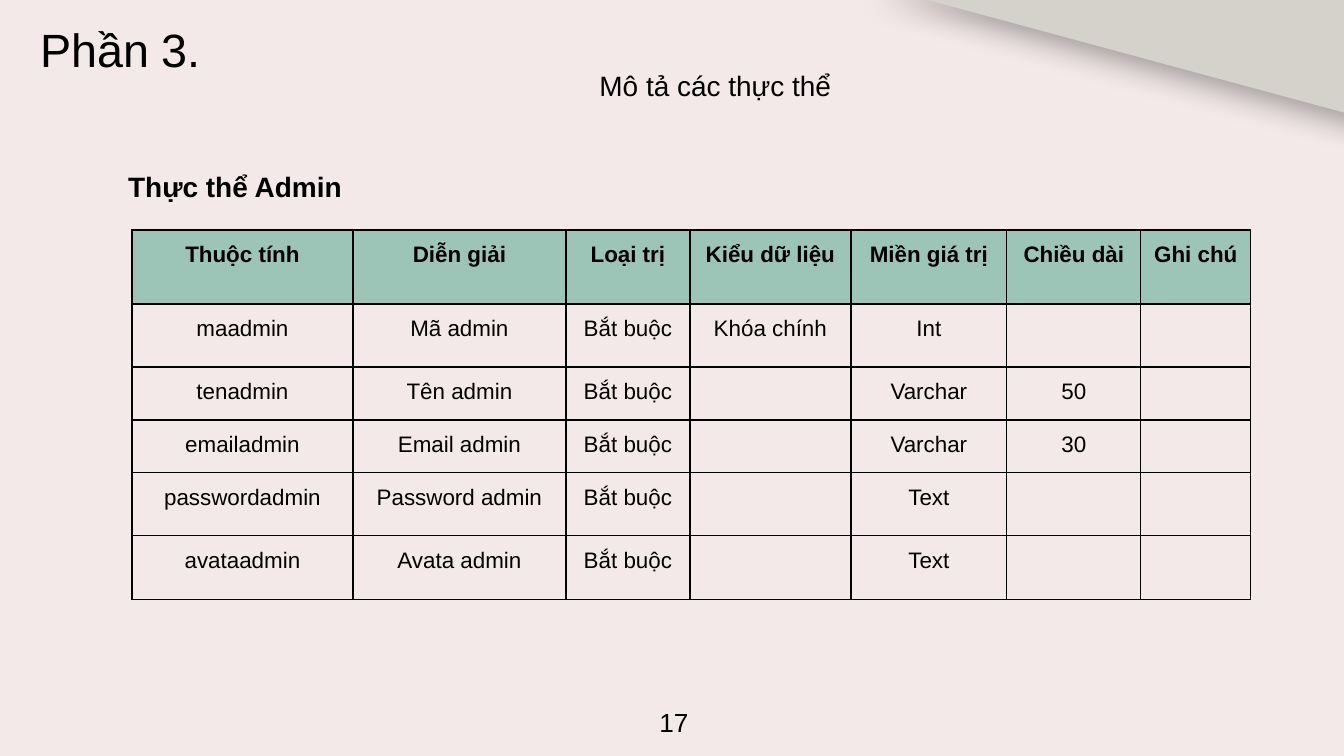
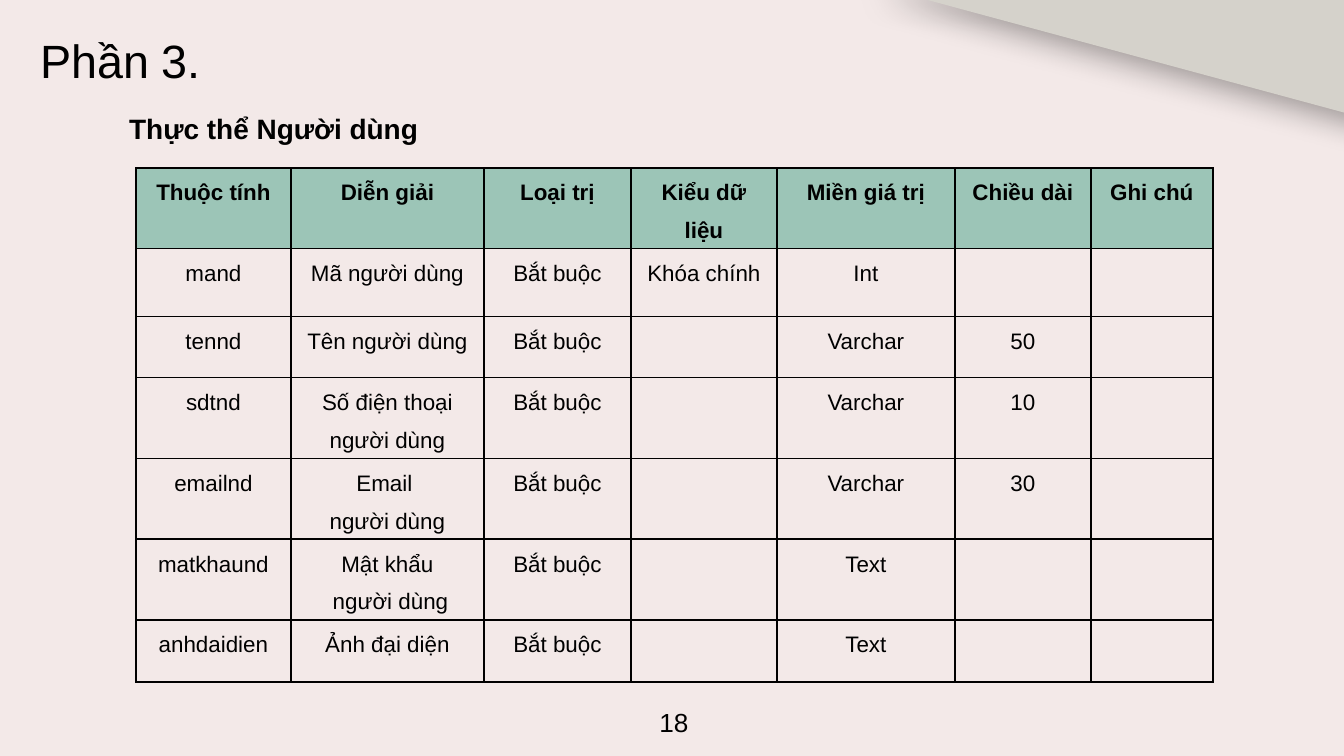
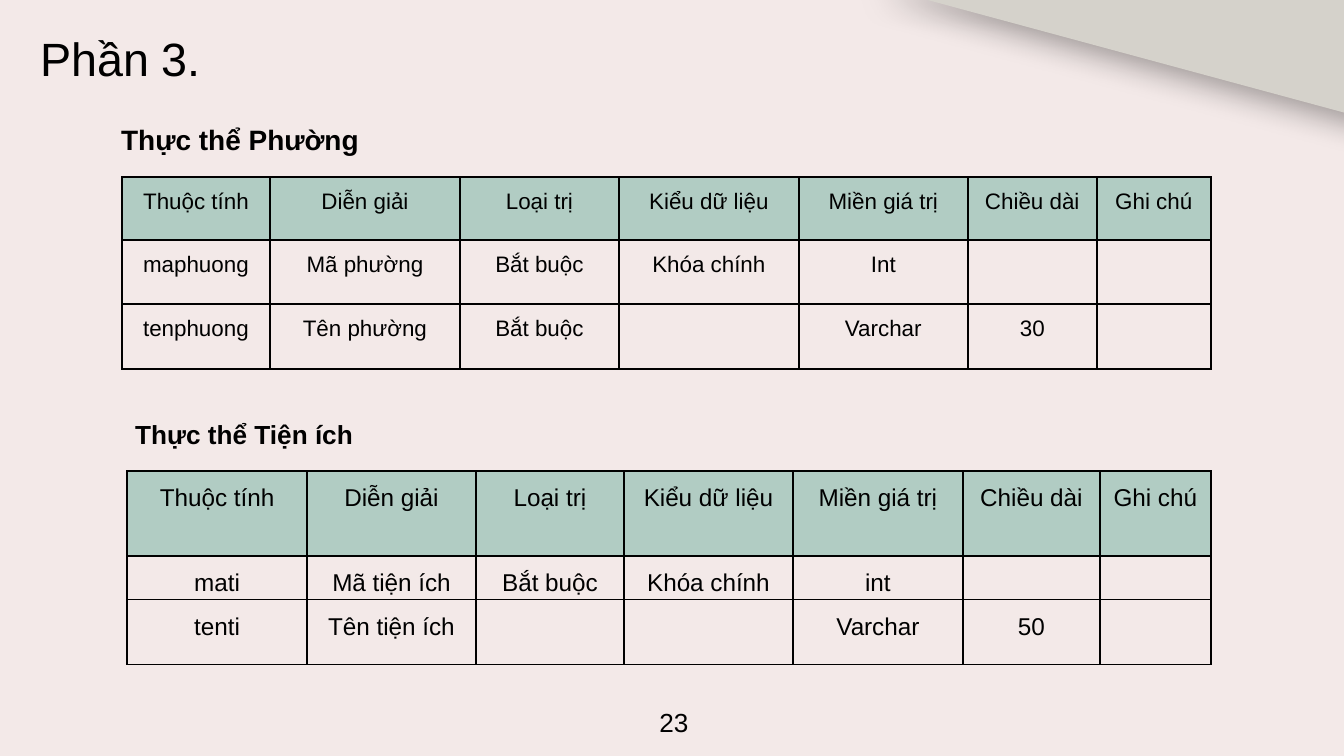
import pptx
import pptx.dml.color
import pptx.enum.text
import pptx.oxml
import pptx.oxml.ns
import pptx.util

EMU_PER_PX = 914400 / 134.4
CENTER = pptx.enum.text.PP_ALIGN.CENTER
LEFT = pptx.enum.text.PP_ALIGN.LEFT

# Shared look
BACKGROUND, CORNER, INK = "F3E9E8", "D5D2CB", "000000"
GREEN, PALE_GREEN = "9CC5B7", "B1CCC3"
HEADINGS = ["Thuộc tính", "Diễn giải", "Loại trị", "Kiểu dữ liệu",
            "Miền giá trị", "Chiều dài", "Ghi chú"]
TITLE = {"size": 25}
SUBTITLE = {"size": 15, "alignment": CENTER, "line_spacing": 1.5}
CAPTION = {"size": 15, "bold": True, "line_spacing": 1.5}
PAGE_NUMBER = {"size": 14, "alignment": CENTER}
REQUIRED, KEY = "Bắt buộc", "Khóa chính"

# Each text: box, inset at top and bottom, then (wording, indent, format) per paragraph
PAGES = [
    {
        "number": "17",
        "title_box": (27, 8, 191, 85),
        "texts": [((30, 39, 1246, 660), 13, [
            ("Mô tả các thực thể", 125, SUBTITLE),
            ("Thực thể Admin", 85, CAPTION | {"space_before": pptx.util.Pt(27)}),
        ])],
        "tables": [{
            "at": (132, 230), "header": GREEN, "bold": True, "size": 12, "border": 0.75,
            "columns": [221, 213, 124, 161, 156, 134, 110],
            "rows": [74, 63, 53, 53, 63, 64],
            "records": [
                ["maadmin", "Mã admin", REQUIRED, KEY, "Int", "", ""],
                ["tenadmin", "Tên admin", REQUIRED, "", "Varchar", "50", ""],
                ["emailadmin", "Email admin", REQUIRED, "", "Varchar", "30", ""],
                ["passwordadmin", "Password admin", REQUIRED, "", "Text", "", ""],
                ["avataadmin", "Avata admin", REQUIRED, "", "Text", "", ""],
            ],
        }],
    },
    {
        "number": "18",
        "title_box": (27, 19, 222, 85),
        "texts": [((69, 82, 1231, 603), 13, [("Thực thể Người dùng", 47, CAPTION)])],
        "tables": [{
            "at": (136, 168), "header": GREEN, "bold": True, "size": 12, "border": 1,
            "columns": [155, 193, 147, 146, 178, 136, 122],
            "rows": [80, 68, 61, 81, 80, 80, 62],
            "records": [
                ["mand", "Mã người dùng", REQUIRED, KEY, "Int", "", ""],
                ["tennd", "Tên người dùng", REQUIRED, "", "Varchar", "50", ""],
                ["sdtnd", "Số điện thoại người dùng", REQUIRED, "", "Varchar", "10", ""],
                ["emailnd", "Email \nngười dùng", REQUIRED, "", "Varchar", "30", ""],
                ["matkhaund", "Mật khẩu\n người dùng", REQUIRED, "", "Text", "", ""],
                ["anhdaidien", "Ảnh đại diện", REQUIRED, "", "Text", "", ""],
            ],
        }],
    },
    {
        "number": "23",
        "title_box": (27, 17, 409, 85),
        "texts": [
            ((69, 93, 1231, 663), 13, [("Thực thể Phường", 39, CAPTION)]),
            ((122, 396, 246, 55), 7, [("Thực thể Tiện ích", 0, CAPTION | {"size": 14})]),
        ],
        "tables": [
            {
                "at": (122, 177), "header": PALE_GREEN, "bold": False, "size": 12, "border": 1,
                "columns": [148, 190, 159, 180, 169, 129, 114],
                "rows": [63, 64, 65],
                "records": [
                    ["maphuong", "Mã phường", REQUIRED, KEY, "Int", "", ""],
                    ["tenphuong", "Tên phường", REQUIRED, "", "Varchar", "30", ""],
                ],
            },
            {
                "at": (127, 471), "header": PALE_GREEN, "bold": False, "size": 13, "border": 1,
                "columns": [180, 169, 148, 169, 170, 137, 111],
                "rows": [85, 43, 65],
                "records": [
                    ["mati", "Mã tiện ích", REQUIRED, KEY, "int", "", ""],
                    ["tenti", "Tên tiện ích", "", "", "Varchar", "50", ""],
                ],
            },
        ],
    },
]


def px(length):
    return pptx.util.Emu(round(length * EMU_PER_PX))


def format_paragraph(paragraph, values):
    values = {"alignment": LEFT, "bold": False, "name": "Arial"} | values
    values["size"] = pptx.util.Pt(values["size"])
    for name, value in values.items():
        target = paragraph.font if name in ("size", "bold", "name") else paragraph
        if target is paragraph:
            setattr(paragraph, name, value)
            continue
        for run in paragraph.runs:
            setattr(run.font, name, value)
            run.font.color.rgb = pptx.dml.color.RGBColor.from_string(INK)


presentation = pptx.Presentation()
presentation.slide_width, presentation.slide_height = px(1344), px(756)
background = presentation.slide_master.background.fill
background.solid()
background.fore_color.rgb = pptx.dml.color.RGBColor.from_string(BACKGROUND)
namespace = pptx.oxml.ns.nsdecls("a")

for page in PAGES:
    slide = presentation.slides.add_slide(presentation.slide_layouts[6])

    # Folded corner with its soft shadow
    builder = slide.shapes.build_freeform(px(1364), px(118))
    builder.add_line_segments([(px(1366), px(-16)), (px(872), px(-15))], close=True)
    corner = builder.convert_to_shape()
    corner.fill.solid()
    corner.fill.fore_color.rgb = pptx.dml.color.RGBColor.from_string(CORNER)
    corner.line.fill.background()
    corner.shadow.inherit = False
    corner.element.spPr.find(pptx.oxml.ns.qn("a:effectLst")).append(pptx.oxml.parse_xml(
        f'<a:outerShdw {namespace} blurRad="{pptx.util.Pt(16.9)}" dist="{pptx.util.Pt(6)}" '
        f'dir="3660000" algn="ctr" rotWithShape="0">'
        f'<a:srgbClr val="{INK}"><a:alpha val="34000"/></a:srgbClr></a:outerShdw>'))

    # Title, captions and page number
    texts = [
        (page["title_box"], 13, [("Phần 3.", 0, TITLE)]),
        *page["texts"],
        ((645, 699, 58, 46), 7, [(page["number"], 0, PAGE_NUMBER)]),
    ]
    for box, inset, lines in texts:
        text_frame = slide.shapes.add_textbox(*map(px, box)).text_frame
        text_frame.word_wrap = True
        text_frame.margin_top = text_frame.margin_bottom = px(inset)
        text_frame.text = "\n".join(wording for wording, indent, values in lines)
        for paragraph, (wording, indent, values) in zip(text_frame.paragraphs, lines):
            format_paragraph(paragraph, values)
            if indent:
                paragraph._p.get_or_add_pPr().set("marL", str(px(indent)))

    # Entity tables
    for entity in page["tables"]:
        columns, rows = entity["columns"], entity["rows"]
        table = slide.shapes.add_table(
            len(rows), len(columns), *map(px, entity["at"]), px(sum(columns)), px(sum(rows))).table
        table.first_row = table.horz_banding = False
        for column, width in zip(table.columns, columns):
            column.width = px(width)
        for row, height in zip(table.rows, rows):
            row.height = px(height)

        for row_index, record in enumerate([HEADINGS] + entity["records"]):
            values = {"size": entity["size"], "alignment": CENTER, "line_spacing": 1.5}
            if row_index == 0:
                values |= {"bold": entity["bold"], "space_before": pptx.util.Pt(12),
                           "space_after": pptx.util.Pt(10)}
            for column_index, wording in enumerate(record):
                cell = table.cell(row_index, column_index)
                cell.margin_left = cell.margin_right = px(9)
                cell.margin_top = cell.margin_bottom = 0
                if row_index == 0:
                    cell.fill.solid()
                    cell.fill.fore_color.rgb = pptx.dml.color.RGBColor.from_string(entity["header"])
                else:
                    cell.fill.background()
                if wording:
                    cell.text_frame.text = wording
                    for paragraph in cell.text_frame.paragraphs:
                        format_paragraph(paragraph, values)
                properties = cell._tc.get_or_add_tcPr()
                for position, side in enumerate("LRTB"):
                    properties.insert(position, pptx.oxml.parse_xml(
                        f'<a:ln{side} {namespace} w="{pptx.util.Pt(entity["border"])}"><a:solidFill>'
                        f'<a:srgbClr val="{INK}"/></a:solidFill></a:ln{side}>'))

presentation.save("out.pptx")
